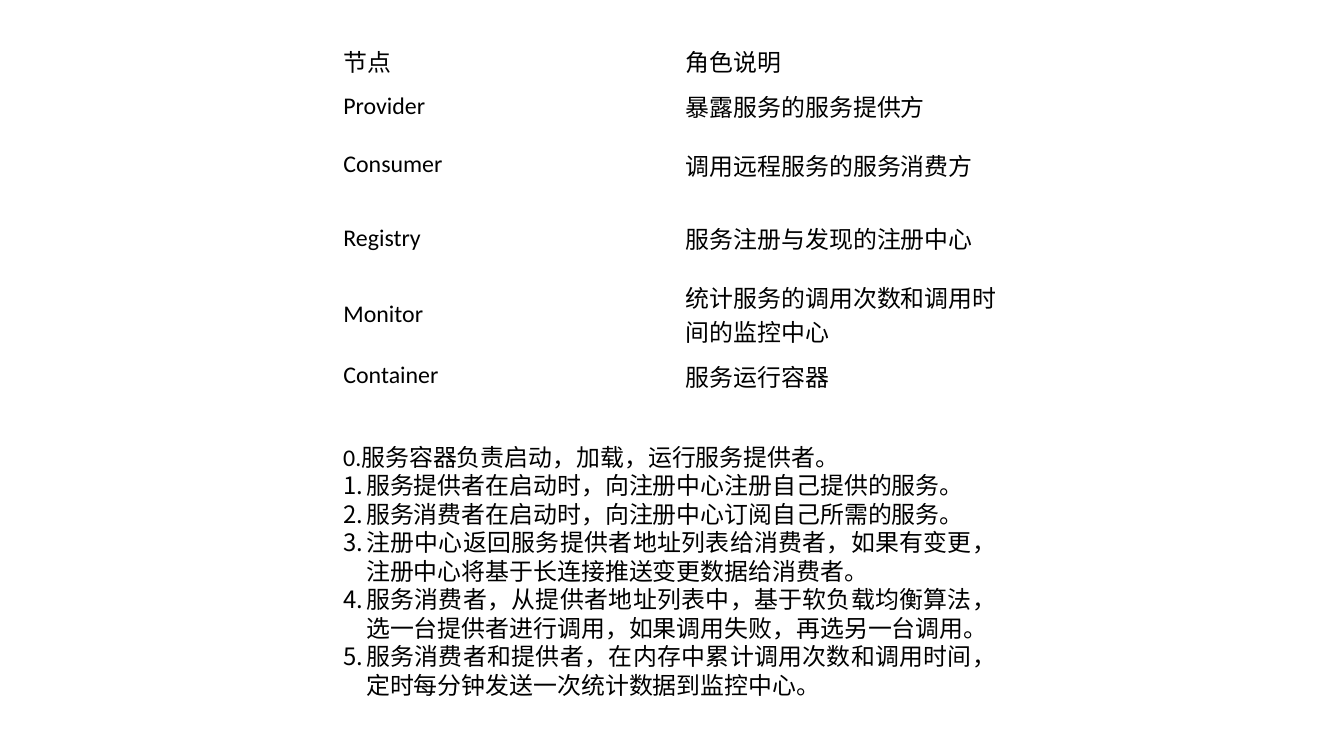
from lxml import etree
from pptx import Presentation
from pptx.dml.color import RGBColor
from pptx.enum import text as tx
from pptx.oxml import ns
from pptx.util import Cm, Pt

# Content
ROLES = [
    ("节点", "角色说明"),
    ("Provider", "暴露服务的服务提供方"),
    ("Consumer", "调用远程服务的服务消费方"),
    ("Registry", "服务注册与发现的注册中心"),
    ("Monitor", "统计服务的调用次数和调用时间的监控中心"),
    ("Container", "服务运行容器"),
]
START = "0.服务容器负责启动，加载，运行服务提供者。"
STEPS = [
    "服务提供者在启动时，向注册中心注册自己提供的服务。",
    "服务消费者在启动时，向注册中心订阅自己所需的服务。",
    "注册中心返回服务提供者地址列表给消费者，如果有变更，注册中心将基于长连接推送变更数据给消费者。",
    "服务消费者，从提供者地址列表中，基于软负载均衡算法，选一台提供者进行调用，如果调用失败，再选另一台调用。",
    "服务消费者和提供者，在内存中累计调用次数和调用时间，定时每分钟发送一次统计数据到监控中心。",
]

# Layout in cm
LEFT = 8.87
COL = 9.1
ROWS = [1.19, 1.12, 1.95, 1.95, 1.95, 1.12]
HANG = 0.61


def color(code):
    return RGBColor.from_string(code)


def write(para, words, size=18, font="Calibri", ink="000000",
          align=None, pitch=None):
    run = para.add_run()
    run.text = words
    run.font.size = Pt(size)
    run.font.name = font
    run.font.color.rgb = color(ink)
    para.alignment = align
    if pitch:
        para.line_spacing = Pt(pitch)


def number(para):
    props = para._p.get_or_add_pPr()
    props.set("marL", str(Cm(HANG)))
    props.set("indent", str(-Cm(HANG)))
    etree.SubElement(props, ns.qn("a:buAutoNum"), type="arabicPeriod")


deck = Presentation()
deck.slide_width, deck.slide_height = Cm(35.71), Cm(20.09)
slide = deck.slides.add_slide(deck.slide_layouts[6])

# Table of roles
grid = slide.shapes.add_table(
    len(ROLES), 2, Cm(LEFT), Cm(1.04), Cm(2 * COL), Cm(sum(ROWS))).table
grid.first_row = grid.horz_banding = False
for col in grid.columns:
    col.width = Cm(COL)
for row, tall, role in zip(grid.rows, ROWS, ROLES):
    row.height = Cm(tall)
    for cell, words in zip(row.cells, role):
        cell.fill.background()
        cell.vertical_anchor = tx.MSO_ANCHOR.MIDDLE
        write(cell.text_frame.paragraphs[0], words)

# Call steps
box = slide.shapes.add_textbox(Cm(LEFT), Cm(11.63), Cm(17.86), Cm(7.19))
frame = box.text_frame
frame.word_wrap = True
frame.auto_size = tx.MSO_AUTO_SIZE.SHAPE_TO_FIT_TEXT
form = {"align": tx.PP_ALIGN.JUSTIFY, "pitch": 21.5}
write(frame.paragraphs[0], START, **form)
for step in STEPS:
    para = frame.add_paragraph()
    write(para, step, **form)
    number(para)

deck.save("out.pptx")
